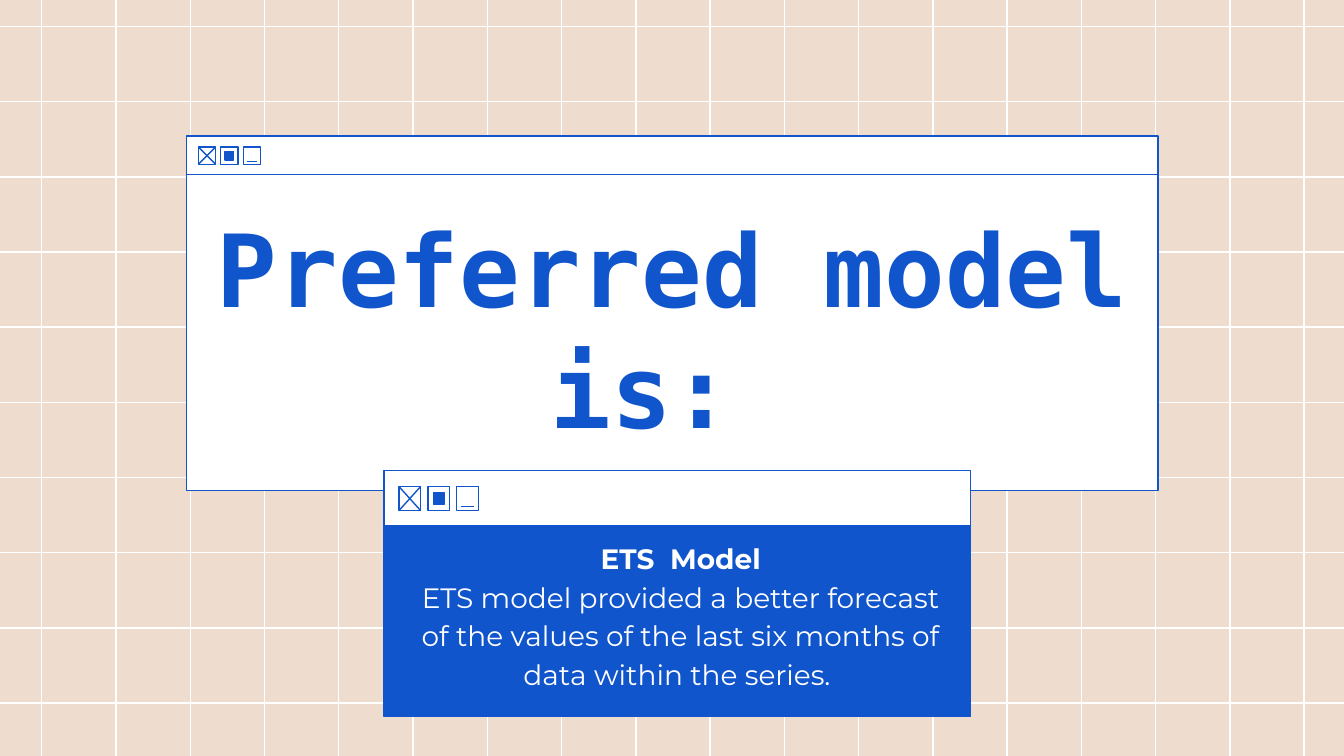
from dataclasses import dataclass

from lxml import etree
from pptx import Presentation
from pptx.dml.color import RGBColor
from pptx.enum.shapes import MSO_CONNECTOR, MSO_SHAPE
from pptx.enum.text import MSO_ANCHOR, MSO_AUTO_SIZE, PP_ALIGN
from pptx.oxml.ns import qn
from pptx.util import Pt

RECTANGLE = MSO_SHAPE.RECTANGLE
STRAIGHT = MSO_CONNECTOR.STRAIGHT
MIDDLE = MSO_ANCHOR.MIDDLE
CENTER = PP_ALIGN.CENTER
NO_AUTOFIT = MSO_AUTO_SIZE.NONE
TITLE_ONLY = 5
WIDTH, HEIGHT = 720, 405


@dataclass(frozen=True)
class Theme:
    paper: RGBColor = RGBColor(0xEE, 0xDC, 0xCE)
    white: RGBColor = RGBColor(0xFF, 0xFF, 0xFF)
    blue: RGBColor = RGBColor(0x11, 0x55, 0xCC)
    title_font: str = "DejaVu Sans Mono"
    body_font: str = "Montserrat"
    title_size: float = 54
    body_size: float = 15
    stroke: float = 0.75
    inset: float = 7.2


class WindowSlide:
    def __init__(self, slide, theme):
        self.slide = slide
        self.theme = theme
        slide.background.fill.solid()
        slide.background.fill.fore_color.rgb = theme.paper

    def line(self, x1, y1, x2, y2, color):
        connector = self.slide.shapes.add_connector(
            STRAIGHT, Pt(x1), Pt(y1), Pt(x2), Pt(y2))
        connector.line.color.rgb = color
        connector.line.width = Pt(self.theme.stroke)
        etree.SubElement(connector.element.spPr, qn("a:effectLst"))

    def box(self, left, top, width, height, fill=None):
        shape = self.slide.shapes.add_shape(
            RECTANGLE, Pt(left), Pt(top), Pt(width), Pt(height))
        shape.shadow.inherit = False
        shape.line.color.rgb = self.theme.blue
        shape.line.width = Pt(self.theme.stroke)
        if fill is None:
            shape.fill.background()
        else:
            shape.fill.solid()
            shape.fill.fore_color.rgb = fill

    def grid(self, first_x, step_x, columns, first_y, step_y, rows):
        for column in range(columns):
            x = first_x + column * step_x
            self.line(x, 0, x, HEIGHT, self.theme.white)
        for row in range(rows):
            y = first_y + row * step_y
            self.line(0, y, WIDTH, y, self.theme.white)

    def window(self, left, top, width, bar, body, fill):
        self.box(left, top + bar, width, body, fill)
        self.box(left, top, width, bar, self.theme.white)

    def buttons(self, left, top, width, height, pitch):
        blue = self.theme.blue
        close, maximize, minimize = (left + i * pitch for i in range(3))
        right, bottom = close + width, top + height
        for button in (close, maximize, minimize):
            self.box(button, top, width, height)
        self.line(close, top, right, bottom, blue)
        self.line(right, top, close, bottom, blue)
        self.box(maximize + width / 4, top + height / 4,
                 width / 2, height / 2, blue)
        base = top + 0.83 * height
        self.line(minimize + 0.2 * width, base,
                  minimize + 0.8 * width, base, blue)

    def frame(self, shape, left, top, width, height):
        shape.left, shape.top = Pt(left), Pt(top)
        shape.width, shape.height = Pt(width), Pt(height)
        frame = shape.text_frame
        frame.auto_size = NO_AUTOFIT
        frame.word_wrap = True
        frame.vertical_anchor = MIDDLE
        inset = Pt(self.theme.inset)
        frame.margin_left = frame.margin_right = inset
        frame.margin_top = frame.margin_bottom = inset
        return frame

    def styled_run(self, paragraph, text, font, size, color, bold):
        paragraph.alignment = CENTER
        run = paragraph.add_run()
        run.text = text
        run.font.name = font
        run.font.size = Pt(size)
        run.font.color.rgb = color
        run.font.bold = bold

    def title(self, text, *place):
        heading = self.slide.shapes.title
        heading.element.getparent().append(heading.element)
        frame = self.frame(heading, *place)
        self.styled_run(frame.paragraphs[0], text, self.theme.title_font,
                        self.theme.title_size, self.theme.blue, True)

    def message(self, name, reason, *place):
        theme = self.theme
        style = theme.body_font, theme.body_size, theme.white
        holder = self.slide.shapes.add_textbox(0, 0, 0, 0)
        frame = self.frame(holder, *place)
        self.styled_run(frame.paragraphs[0], name, *style, True)
        explanation = frame.add_paragraph()
        explanation.line_spacing = 1.15
        explanation.space_after = Pt(12)
        self.styled_run(explanation, reason, *style, False)


def main():
    deck = Presentation()
    deck.slide_width, deck.slide_height = Pt(WIDTH), Pt(HEIGHT)
    theme = Theme()
    page = WindowSlide(
        deck.slides.add_slide(deck.slide_layouts[TITLE_ONLY]), theme)

    page.grid(22.4, 39.78, 18, 14.2, 40.27, 10)

    page.window(100, 72.8, 520.3, 20.6, 169.3, theme.white)
    page.buttons(106.3, 78.8, 9.2, 9.2, 12)
    page.title("Preferred model is: ", 108.7, 108, 502.6, 134.6)

    page.window(205.8, 252, 314, 29.5, 102.4, theme.blue)
    page.buttons(213.7, 260.6, 11.7, 13, 15.5)
    page.message(
        "ETS  Model",
        "ETS model provided a better forecast of the values of the last "
        "six months of data within the series. ",
        213.1, 298.8, 303.1, 62.6)

    deck.save("out.pptx")


if __name__ == "__main__":
    main()
